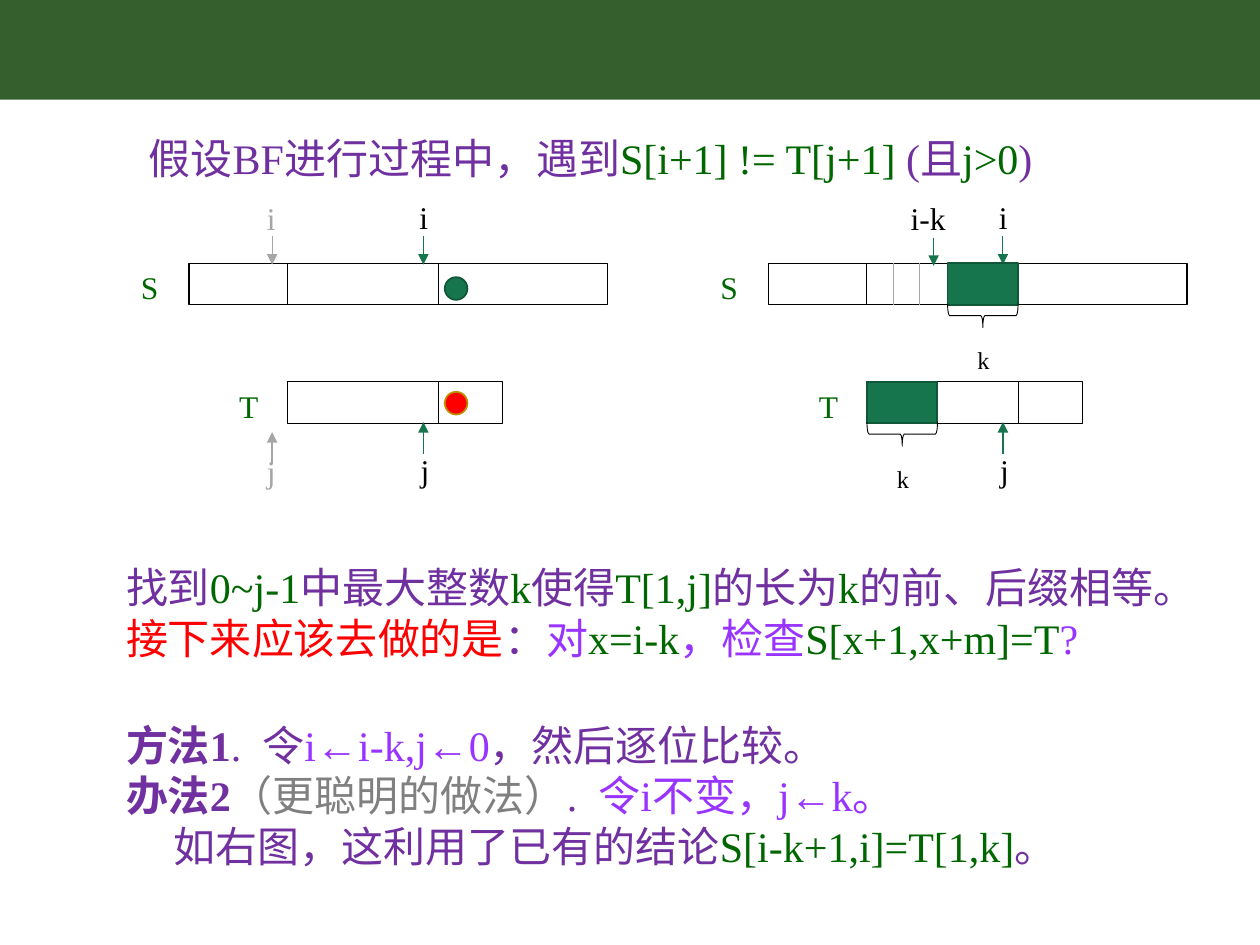
"""Build a slide on the step after a mismatch in brute-force string matching."""
from lxml import etree
from pptx import Presentation
from pptx.dml.color import RGBColor
from pptx.enum.shapes import MSO_CONNECTOR, MSO_SHAPE
from pptx.enum.text import MSO_ANCHOR, MSO_AUTO_SIZE, PP_ALIGN
from pptx.oxml.ns import qn
from pptx.util import Inches, Pt

RECT, OVAL, BRACE = MSO_SHAPE.RECTANGLE, MSO_SHAPE.OVAL, MSO_SHAPE.RIGHT_BRACE
LINE = MSO_CONNECTOR.STRAIGHT
LEFT, TOP, FIXED = PP_ALIGN.LEFT, MSO_ANCHOR.TOP, MSO_AUTO_SIZE.NONE

THEME = {
    "font": "Times New Roman", "text": 24, "label": 18,
    "band": "365F2E", "purple": "7030A0", "violet": "9933FF", "code": "006600",
    "red": "FF0000", "grey": "808080", "pale": "A6A6A6", "black": "000000",
    "green": "16754D", "edge": "105739", "gold": "BD8E00",
}

TITLE = [(0, [("假设BF进行过程中，遇到", "purple"), ("S[i+1] != T[j+1]", "code"),
              (" (且", "purple"), ("j>0", "code"), (")", "purple")])]
GOAL = [
    (0, [("找到", "purple"), ("0~j-1", "code"), ("中最大整数", "purple"), ("k", "code"),
         ("使得", "purple"), ("T[1,j]", "code"), ("的长为", "purple"), ("k", "code"),
         ("的前、后缀相等。", "purple")]),
    (0, [("接下来应该去做的是", "red"), ("：", "purple"), ("对", "violet"),
         ("x=i-k", "code"), ("，检查", "violet"), ("S[x+1,x+m]=T", "code"),
         ("?", "violet")]),
]
WAYS = [
    (0, [("方法1", "purple", True), (".  令", "purple"), ("i←i-k,j←0", "violet"),
         ("，然后逐位比较。", "purple")]),
    (0, [("办法2", "purple", True), ("（更聪明的做法）", "grey"), (".  ", "purple"),
         ("令i不变，j←k。", "violet")]),
    (0.38, [("如右图，这利用了已有的结论", "purple"), ("S[i-k+1,i]=T[1,k]", "code"),
            ("。", "purple")]),
]

PANELS = (0, 4.6)
S_TOP, T_TOP, BAR = 2.09, 3.03, 0.33
S_LEFT, T_LEFT, CUT, HEAD = 1.5, 2.28, 3.48, 3.36
S_WIDE, T_WIDE, MATCH = 3.32, 1.71, 0.56
DOT = 0.18


def rgb(name):
    return RGBColor.from_string(THEME[name])


def fill_text(box, paras, size="text"):
    frame = box.text_frame
    frame.word_wrap, frame.auto_size = True, FIXED
    frame.vertical_anchor = TOP
    for n, (indent, runs) in enumerate(paras):
        para = frame.add_paragraph() if n else frame.paragraphs[0]
        props = para._p.get_or_add_pPr()
        props.set("marL", str(Inches(indent)))
        props.set("indent", "0")
        etree.SubElement(props, qn("a:buNone"))
        para.alignment = LEFT
        para.space_before = Pt(0)
        para.font.name, para.font.size = THEME["font"], Pt(THEME[size])
        for text, color, *bold in runs:
            run = para.add_run()
            run.text = text
            run.font.color.rgb = rgb(color)
            if bold:
                run.font.bold = True


def place(box, x, y, w, h):
    box.left, box.top, box.width, box.height = map(Inches, (x, y, w, h))
    return box


def label(shapes, text, x, y, color="black", w=0.44, size="label"):
    box = shapes.add_textbox(*map(Inches, (x, y, w, 0.4)))
    fill_text(box, [(0, [(text, color)])], size)
    return box


def shape(shapes, kind, x, y, w, h, fill=None, edge="black", width=0.75):
    item = shapes.add_shape(kind, *map(Inches, (x, y, w, h)))
    item.shadow.inherit = False
    if fill:
        item.fill.solid()
        item.fill.fore_color.rgb = rgb(fill)
    else:
        item.fill.background()
    if edge:
        item.line.color.rgb, item.line.width = rgb(edge), Pt(width)
    else:
        item.line.fill.background()
    return item


def line(shapes, x, start, end, color="black", width=0.5, arrow=False):
    item = shapes.add_connector(LINE, *map(Inches, (x, start, x, end)))
    item.line.color.rgb, item.line.width = rgb(color), Pt(width)
    if arrow:
        etree.SubElement(item.line._get_or_add_ln(), qn("a:tailEnd"), type="triangle")
    etree.SubElement(item._element.spPr, qn("a:effectLst"))


def pointer(shapes, x, color="green", shift=0):
    line(shapes, x, 1.87, 2.1, color, 0.5, True)
    line(shapes, x, 3.6 + shift, 3.35 + shift, color, 0.75, True)


def panel(shapes, dx):
    for name, x, y, w in (("S", S_LEFT, S_TOP, S_WIDE), ("T", T_LEFT, T_TOP, T_WIDE)):
        shape(shapes, RECT, x + dx, y, w, BAR)
        label(shapes, name, x + dx - 0.48, y - 0.01, "code")
    for x, y in ((T_LEFT, S_TOP), (CUT, S_TOP), (CUT, T_TOP)):
        line(shapes, x + dx, y, y + BAR)
    pointer(shapes, HEAD + dx)
    label(shapes, "i", HEAD + dx - 0.13, 1.52)
    label(shapes, "j", HEAD + dx - 0.12, 3.53)


def match(shapes, x, y, gap):
    shape(shapes, RECT, x, y, MATCH, BAR, "green", "edge", 1)
    deep, mid = 0.19, x + MATCH / 2
    brace = shape(shapes, BRACE, mid - deep / 2, y + BAR + (deep - MATCH) / 2 - 0.01,
                  deep, MATCH, width=0.5)
    brace.rotation = 90
    mark = label(shapes, "k", mid - gap, y + 0.38, w=0.4, size="text")
    run = mark.text_frame.paragraphs[0].runs[0]
    run._r.get_or_add_rPr().set("baseline", "-25000")


def main():
    deck = Presentation()
    deck.slide_width, deck.slide_height = Inches(10), Inches(7.5)
    slide = deck.slides.add_slide(deck.slide_layouts[3])
    shapes = slide.shapes
    title, goal, ways = slide.placeholders
    fill_text(place(title, 1.08, 1, 8.02, 0.5), TITLE)
    fill_text(place(goal, 0.9, 4.41, 8.81, 0.91), GOAL)
    fill_text(place(ways, 0.9, 5.66, 8.81, 1.31), WAYS)
    shape(shapes, RECT, 0, 0, 10, 0.79, "band", None)

    for dx in PANELS:
        panel(shapes, dx)

    for y, fill, edge in ((2.2, "green", "edge"), (3.11, "red", "gold")):
        shape(shapes, OVAL, 3.53, y, DOT, DOT, fill, edge, 1)
    pointer(shapes, 2.16, "pale", 0.08)
    label(shapes, "i", 2.02, 1.53, "pale")
    label(shapes, "j", 2.02, 3.54, "pale")

    line(shapes, 7.41, 1.89, 2.11, "green", 0.5, True)
    label(shapes, "i-k", 7.13, 1.53, w=0.56)
    for x in (7.09, 7.3):
        line(shapes, x, S_TOP, S_TOP + BAR, "pale")
    match(shapes, CUT + PANELS[1] - MATCH, S_TOP, 0.14)
    match(shapes, T_LEFT + PANELS[1], T_TOP, 0.14)
    deck.save("out.pptx")


if __name__ == "__main__":
    main()
